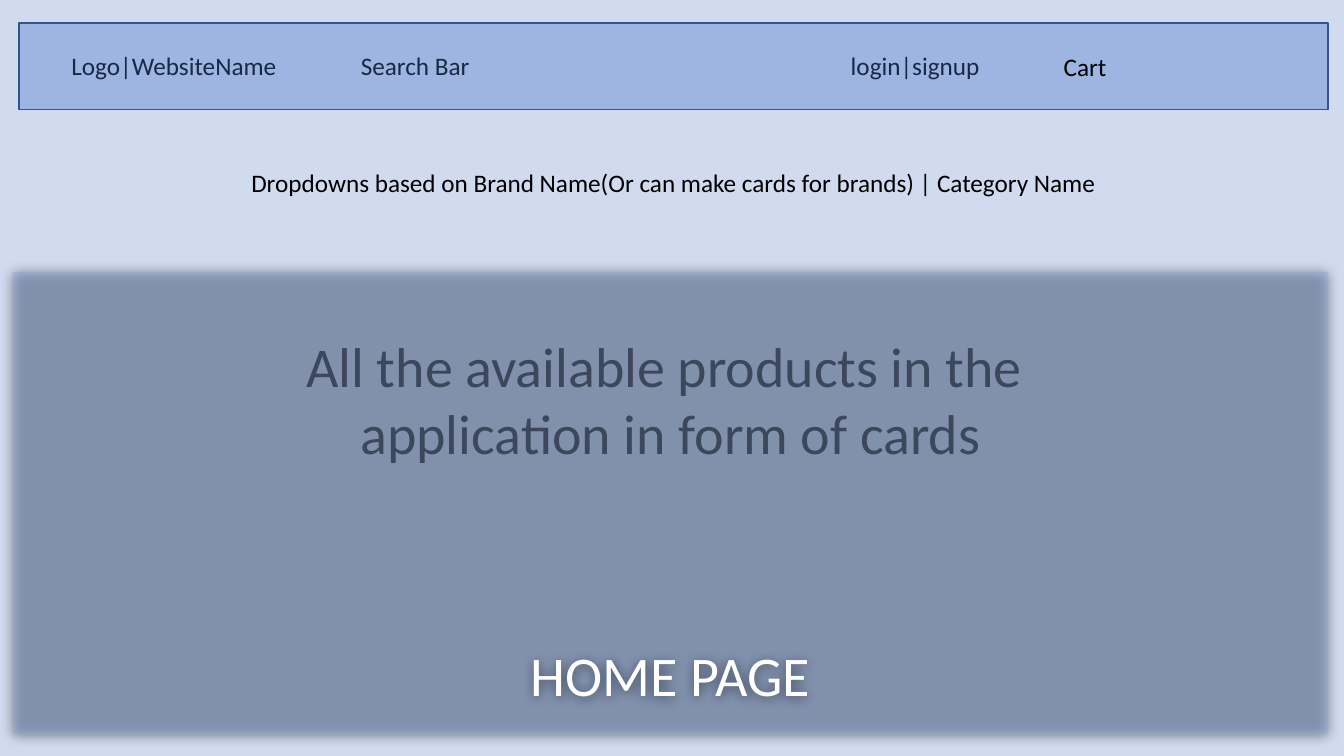
from lxml import etree
from pptx import Presentation
from pptx.dml.color import RGBColor
from pptx.enum.shapes import MSO_SHAPE
from pptx.enum.text import MSO_ANCHOR, PP_ALIGN
from pptx.oxml.ns import qn
from pptx.util import Inches, Pt

# Content
NAV_LABELS = ["Logo|WebsiteName", "Search Bar", "login|signup"]
CART = "Cart"
DROPDOWNS = "Dropdowns based on Brand Name(Or can make cards for brands) | Category Name"
PRODUCTS = ["All the available products in the ", "application in form of cards"]
PAGE_NAME = "HOME PAGE"

# Style and layout, in inches and points
BLACK, WHITE = RGBColor(0, 0, 0), RGBColor(255, 255, 255)
PALE, STRONG = RGBColor(0x8F, 0xAA, 0xDC), RGBColor(0x44, 0x72, 0xC4)
OUTLINE = RGBColor(0x32, 0x54, 0x91)
SMALL, LARGE = 18, 40
BAR = (0.19, 0.23, 12.98, 0.86)
PANEL = (0.13, 2.7, 13.04, 4.58)
NAV_STOPS = [2.87, 7.73]
CART_INDENT = 10.36
PAGE_NAME_INSET = 0.26

prs = Presentation()
prs.slide_width, prs.slide_height = Inches(13.33), Inches(7.5)
slide = prs.slides.add_slide(prs.slide_layouts[6])


def set_alpha(fill_parent, percent):
    color = next(fill_parent.iter(qn("a:srgbClr")))
    etree.SubElement(color, qn("a:alpha"), val=str(percent * 1000))


def write(shape, lines, size, color=BLACK, align=PP_ALIGN.CENTER):
    frame = shape.text_frame
    frame.word_wrap = True
    frame.text = "\n".join(lines)
    for paragraph in frame.paragraphs:
        paragraph.alignment = align
        font = paragraph.runs[0].font
        font.name, font.size, font.color.rgb = "Calibri", Pt(size), color
    return frame


def add_text(box, lines, size, align=PP_ALIGN.CENTER):
    return write(slide.shapes.add_textbox(*map(Inches, box)), lines, size, align=align)


def add_block(box, color, alpha):
    block = slide.shapes.add_shape(MSO_SHAPE.RECTANGLE, *map(Inches, box))
    block.shadow.inherit = False
    block.fill.solid()
    block.fill.fore_color.rgb = color
    set_alpha(block.fill._xPr, alpha)
    block.line.fill.background()
    return block


# Background
background = slide.background.fill
background.solid()
background.fore_color.rgb = PALE
set_alpha(slide.background._cSld, 42)

# Labels that show through the translucent blocks
nav = add_text((0.61, 0.45, 12.4, 0.4), ["\t".join(NAV_LABELS)], SMALL, PP_ALIGN.LEFT)
tabs = etree.SubElement(nav.paragraphs[0]._p.get_or_add_pPr(), qn("a:tabLst"))
for stop in NAV_STOPS:
    etree.SubElement(tabs, qn("a:tab"), pos=str(Inches(stop)), algn="l")
add_text((0.45, 3.24, 12.4, 1.45), PRODUCTS, LARGE)

# Product panel with its page name
panel = add_block(PANEL, PALE, 42)
page_name = write(panel, [PAGE_NAME], LARGE, WHITE)
page_name.vertical_anchor = MSO_ANCHOR.BOTTOM
page_name.margin_bottom = Inches(PAGE_NAME_INSET)
effects = panel._element.spPr.find(qn("a:effectLst"))
shadow = etree.SubElement(effects, qn("a:outerShdw"), blurRad=str(Pt(8.5)),
                          dist=str(Pt(1)), dir="5400000", algn="ctr", rotWithShape="0")
etree.SubElement(shadow, qn("a:srgbClr"), val=str(BLACK))

# Navigation bar with the cart
bar = add_block(BAR, STRONG, 36)
bar.line.color.rgb = OUTLINE
bar.line.width = Pt(1)
cart = write(bar, [CART], SMALL, align=PP_ALIGN.LEFT)
cart.vertical_anchor = MSO_ANCHOR.MIDDLE
cart.margin_left = Inches(CART_INDENT)

# Dropdown row
add_text((0.19, 1.61, 12.98, 0.4), [DROPDOWNS], SMALL)

prs.save("out.pptx")
